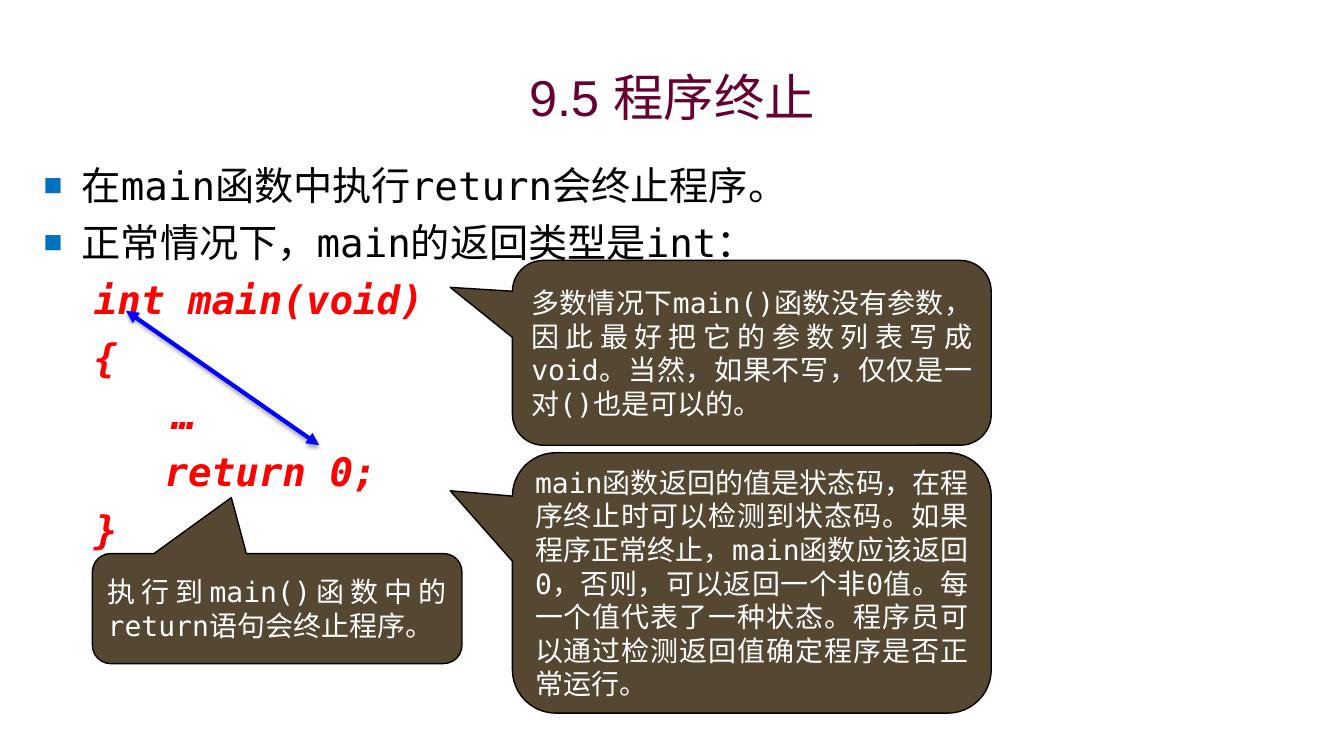
from dataclasses import dataclass

from lxml.etree import SubElement
from pptx import Presentation
from pptx.dml.color import RGBColor
from pptx.enum.shapes import MSO_CONNECTOR as Connector, MSO_SHAPE as Shape
from pptx.enum.text import MSO_ANCHOR as Anchor, PP_ALIGN as Align
from pptx.oxml.ns import qn
from pptx.util import Inches, Pt


@dataclass(frozen=True)
class Theme:
    """Colours, fonts and type sizes of the lesson."""
    title: str = "660033"
    body: str = "000000"
    code: str = "FF0000"
    bullet: str = "0070C0"
    arrow: str = "0000FF"
    callout: str = "2C1A00"
    callout_text: str = "FFFFFF"
    outline: str = "000000"
    title_font: str = "Arial"
    mono_font: str = "DejaVu Sans Mono"
    title_size: int = 36
    body_size: int = 28
    note_size: int = 20


class LessonSlide:
    """Draws on one slide laid out in 160 columns by 90 rows."""
    CELL = 1 / 12

    def __init__(self, deck, theme):
        self.theme = theme
        self.page = deck.slides.add_slide(deck.slide_layouts[6])

    def grid(self, *cells):
        """Turn columns and rows into lengths."""
        return [Inches(cell * self.CELL) for cell in cells]

    def add_span(self, para, text, font, size, color, strong=False):
        """Add one styled run to a paragraph."""
        span = para.add_run()
        span.text = text
        span.font.name = font
        span.font.size = Pt(size)
        span.font.bold = span.font.italic = strong
        span.font.color.rgb = RGBColor.from_string(color)

    def add_box(self, *place):
        """Add a wrapping text box and return its frame."""
        frame = self.page.shapes.add_textbox(*self.grid(*place)).text_frame
        frame.word_wrap = True
        return frame

    def add_title(self, text, *place):
        """Add the centred heading."""
        frame = self.add_box(*place)
        frame.vertical_anchor = Anchor.MIDDLE
        para = frame.paragraphs[0]
        para.alignment = Align.CENTER
        self.add_span(para, text, self.theme.title_font,
                      self.theme.title_size, self.theme.title)

    def set_bullet(self, para, left, hang, char=None):
        """Set a paragraph's indent and its bullet, if any."""
        props = para._p.get_or_add_pPr()
        props.set("marL", str(Inches(left)))
        props.set("indent", str(Inches(-hang)))
        if char is None:
            SubElement(props, qn("a:buNone"))
            return
        color = SubElement(props, qn("a:buClr"))
        SubElement(color, qn("a:srgbClr"), val=self.theme.bullet)
        SubElement(props, qn("a:buSzPct"), val="80000")
        SubElement(props, qn("a:buFont"), typeface=self.theme.title_font)
        SubElement(props, qn("a:buChar"), char=char)

    def add_body(self, points, code, *place):
        """Add bulleted points followed by code lines."""
        theme = self.theme
        frame = self.add_box(*place)
        lines = [(text, False) for text in points] + [(text, True) for text in code]
        for index, (text, is_code) in enumerate(lines):
            para = frame.add_paragraph() if index else frame.paragraphs[0]
            if is_code:
                self.set_bullet(para, 0.81, 0.31)
            else:
                self.set_bullet(para, 0.38, 0.38, "■")
            para.line_spacing = 1.1
            para.space_before = Pt(4 if index else 0)
            self.add_span(para, text, theme.mono_font, theme.body_size,
                          theme.code if is_code else theme.body, is_code)

    def add_arrow(self, *ends):
        """Add a double-headed arrow with a soft shadow."""
        arrow = self.page.shapes.add_connector(Connector.STRAIGHT, *self.grid(*ends))
        arrow.line.color.rgb = RGBColor.from_string(self.theme.arrow)
        arrow.line.width = Pt(3)
        line = arrow.line._get_or_add_ln()
        for end in ("a:headEnd", "a:tailEnd"):
            SubElement(line, qn(end), type="triangle")
        effects = SubElement(arrow._element.spPr, qn("a:effectLst"))
        shadow = SubElement(effects, qn("a:outerShdw"), blurRad=str(Pt(3.1)),
                            dist=str(Pt(1.8)), dir="5400000", rotWithShape="0")
        color = SubElement(shadow, qn("a:srgbClr"), val="000000")
        SubElement(color, qn("a:alpha"), val="35000")

    def add_callout(self, text, tip, *place):
        """Add a translucent rounded callout pointing at tip."""
        theme = self.theme
        callout = self.page.shapes.add_shape(
            Shape.ROUNDED_RECTANGULAR_CALLOUT, *self.grid(*place))
        callout.shadow.inherit = False
        for index, value in enumerate((*tip, 0.16667)):
            callout.adjustments[index] = value
        callout.fill.solid()
        callout.fill.fore_color.rgb = RGBColor.from_string(theme.callout)
        color = callout._element.spPr.find(qn("a:solidFill")).find(qn("a:srgbClr"))
        SubElement(color, qn("a:alpha"), val="80000")
        callout.line.color.rgb = RGBColor.from_string(theme.outline)
        callout.line.width = Pt(1)
        frame = callout.text_frame
        frame.word_wrap = True
        frame.vertical_anchor = Anchor.MIDDLE
        para = frame.paragraphs[0]
        para.alignment = Align.JUSTIFY
        self.add_span(para, text, theme.mono_font, theme.note_size, theme.callout_text)


def main():
    """Build the lesson slide and save it."""
    deck = Presentation()
    deck.slide_width, deck.slide_height = Inches(13.333), Inches(7.5)
    lesson = LessonSlide(deck, Theme())
    lesson.add_title("9.5 程序终止", 12, 7, 136, 9)
    lesson.add_body(
        ["在main函数中执行return会终止程序。", "正常情况下，main的返回类型是int："],
        ["int main(void)", "{", "\t  …", "   return 0;", "}"],
        4, 18, 152, 68)
    lesson.add_arrow(15, 37, 38, 53)
    left_tip, top_tip = (-0.63, -0.354), (-0.124, -1.009)
    lesson.add_callout(
        "多数情况下main()函数没有参数，因此最好把它的参数列表写成void。"
        "当然，如果不写，仅仅是一对()也是可以的。",
        left_tip, 61, 31, 57, 22)
    lesson.add_callout(
        "main函数返回的值是状态码，在程序终止时可以检测到状态码。"
        "如果程序正常终止，main函数应该返回0，否则，可以返回一个非0值。"
        "每一个值代表了一种状态。程序员可以通过检测返回值确定程序是否正常运行。",
        left_tip, 61, 53.9, 57, 31)
    lesson.add_callout(
        "执行到main()函数中的return语句会终止程序。",
        top_tip, 11, 65.9, 44, 13.1)
    deck.save("out.pptx")


if __name__ == "__main__":
    main()
